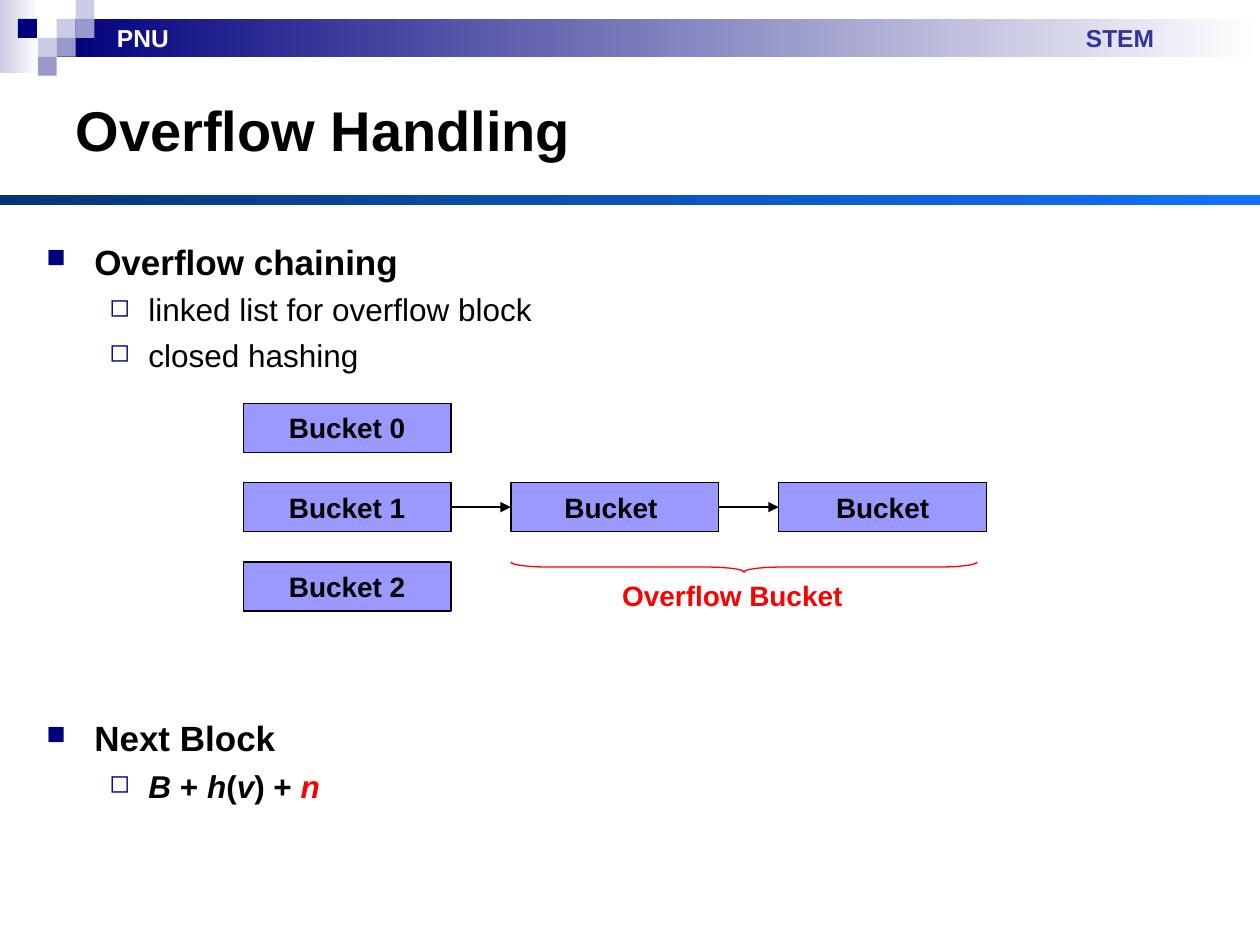
from lxml.etree import SubElement as Sub
from pptx import Presentation
from pptx.dml.color import RGBColor as RGB
from pptx.enum.shapes import MSO_CONNECTOR as Conn, MSO_SHAPE as Kind
from pptx.enum.text import MSO_ANCHOR as Anchor, PP_ALIGN as Align
from pptx.oxml.ns import qn
from pptx.util import Inches, Pt

NAVY, LILAC, MAUVE = RGB(0, 0, 0x7D), RGB(0xCC, 0xCC, 0xE6), RGB(0x99, 0x99, 0xCC)
DEEP, BRIGHT, INDIGO = RGB(8, 0x34, 0x76), RGB(0x11, 0x71, 0xFF), RGB(0x33, 0x33, 0x99)
BLUE, RED = RGB(0x99, 0x99, 0xFF), RGB(0xFF, 0, 0)
BLACK, WHITE = RGB(0, 0, 0), RGB(0xFF, 0xFF, 0xFF)

TILE = 0.15                      # header mosaic
LEFT, TOP = 1.93, 3.2            # bucket grid origin
STEP_X, STEP_Y = 2.125, 0.63     # bucket grid pitch
WIDE, HIGH = 1.65, 0.39          # bucket size


def style(run, size, color=BLACK, bold=True, italic=False):
    font = run.font
    font.name, font.size, font.color.rgb = "Arial", Pt(size), color
    font.bold, font.italic = bold, italic


def add_rect(slide, box, *colors):
    """Borderless rectangle: one colour is solid, two make a gradient."""
    rect = slide.shapes.add_shape(Kind.RECTANGLE, *map(Inches, box))
    rect.shadow.inherit = False
    rect.line.fill.background()
    if len(colors) == 1:
        rect.fill.solid()
        rect.fill.fore_color.rgb = colors[0]
    else:
        rect.fill.gradient()
        rect.fill.gradient_angle = 0
        for stop, color in zip(rect.fill.gradient_stops, colors):
            stop.color.rgb = color
    return rect


def add_label(slide, box, text, size, color):
    frame = slide.shapes.add_textbox(*map(Inches, box)).text_frame
    frame.word_wrap = True
    frame.text = text
    style(frame.paragraphs[0].runs[0], size, color)


def add_bucket(slide, col, row, text):
    box = (LEFT + col * STEP_X, TOP + row * STEP_Y, WIDE, HIGH)
    rect = add_rect(slide, box, BLUE)
    rect.line.color.rgb, rect.line.width = BLACK, Pt(0.75)
    frame = rect.text_frame
    frame.word_wrap = False
    frame.vertical_anchor = Anchor.MIDDLE
    frame.text = text
    frame.paragraphs[0].alignment = Align.CENTER
    style(frame.paragraphs[0].runs[0], 16)
    return rect


def add_arrow(slide, start, end):
    line = slide.shapes.add_connector(Conn.STRAIGHT, 0, 0, 0, 0)
    line.begin_connect(start, 3)
    line.end_connect(end, 1)
    line.line.color.rgb, line.line.width = BLACK, Pt(0.75)
    Sub(line.line._get_or_add_ln(), qn("a:tailEnd"), type="triangle")
    Sub(line._element.spPr, qn("a:effectLst"))


def add_brace(slide, left, top, width, height):
    # A left brace turned so that its point faces down
    box = (left + (width - height) / 2, top + (height - width) / 2, height, width)
    brace = slide.shapes.add_shape(Kind.LEFT_BRACE, *map(Inches, box))
    brace.rotation = 270
    brace.adjustments[0] = 0.3 / height
    brace.shadow.inherit = False
    brace.fill.background()
    brace.line.color.rgb, brace.line.width = RED, Pt(0.75)


def set_bullet(para, level, gap):
    indent, hang, size, char = ((0.38, 0.38, 75, "■"), (0.81, 0.31, 80, "◻"))[level]
    para.level = level
    para.space_before = Pt(gap)
    props = para._p.get_or_add_pPr()
    props.set("marL", str(Inches(indent)))
    props.set("indent", str(-Inches(hang)))
    Sub(Sub(props, qn("a:buClr")), qn("a:srgbClr"), val=str(NAVY))
    Sub(props, qn("a:buSzPct"), val=str(size * 1000))
    Sub(props, qn("a:buChar"), char=char)


def add_header(slide):
    add_rect(slide, (0, 0, 0.31, 0.58), LILAC, WHITE)
    add_rect(slide, (0.45, TILE, 9.55, 2 * TILE), NAVY, WHITE)
    tiles = ((3, 1, LILAC), (4, 0, LILAC), (4, 1, MAUVE), (2, 2, LILAC),
             (0.95, 1, NAVY), (3, 2, MAUVE), (2, 3, MAUVE))
    for col, row, color in tiles:
        add_rect(slide, (col * TILE, row * TILE, TILE, TILE), color)
    add_rect(slide, (0, 1.55, 10, 0.08), DEEP, BRIGHT)
    add_label(slide, (8.52, 0.13, 1.05, 0.34), "STEM", 14, INDIGO)
    add_label(slide, (0.83, 0.13, 1.26, 0.34), "PNU", 14, WHITE)


def add_title(slide, text):
    title = slide.shapes.title
    title.left, title.top, title.width, title.height = map(Inches, (0.5, 0.5, 9, 1.05))
    frame = title.text_frame
    frame.text = text
    frame.vertical_anchor = Anchor.MIDDLE
    frame.paragraphs[0].alignment = Align.LEFT
    style(frame.paragraphs[0].runs[0], 32)


def add_body(slide):
    # Level, space before, text; the large gap leaves room for the diagram
    items = ((0, 5, "Overflow chaining"), (1, 4.5, "linked list for overflow block"),
             (1, 4.5, "closed hashing"), (0, 196, "Next Block"), (1, 4.5, ""))
    box = map(Inches, (0.27, 1.86, 9.2, 5.42))
    frame = slide.shapes.add_textbox(*box).text_frame
    frame.word_wrap = True
    frame.text = "\n".join(text for _, _, text in items)
    for para, (level, gap, _) in zip(frame.paragraphs, items):
        set_bullet(para, level, gap)
        for run in para.runs:
            style(run, 18 if level else 20, bold=not level)
    # Formula: the letters are italic
    for part in ("B ", "+ ", "h", "(", "v", ") + ", "n"):
        run = frame.paragraphs[-1].add_run()
        run.text = part
        style(run, 18, RED if part == "n" else BLACK, italic=part.strip().isalpha())


def add_chain(slide):
    heads = [add_bucket(slide, 0, row, f"Bucket {row}") for row in range(3)]
    chain = [heads[1], add_bucket(slide, 1, 1, "Bucket "), add_bucket(slide, 2, 1, "Bucket")]
    for start, end in zip(chain, chain[1:]):
        add_arrow(slide, start, end)
    add_brace(slide, LEFT + STEP_X, TOP + 2 * STEP_Y, 3.7, 0.08)
    add_label(slide, (4.84, 4.54, 2.6, 0.37), "Overflow Bucket", 16, RED)


def main():
    deck = Presentation()
    deck.slide_width, deck.slide_height = Inches(10), Inches(7.5)
    slide = deck.slides.add_slide(deck.slide_layouts[5])
    add_header(slide)
    add_title(slide, "Overflow Handling")
    add_body(slide)
    add_chain(slide)
    deck.save("out.pptx")


if __name__ == "__main__":
    main()
